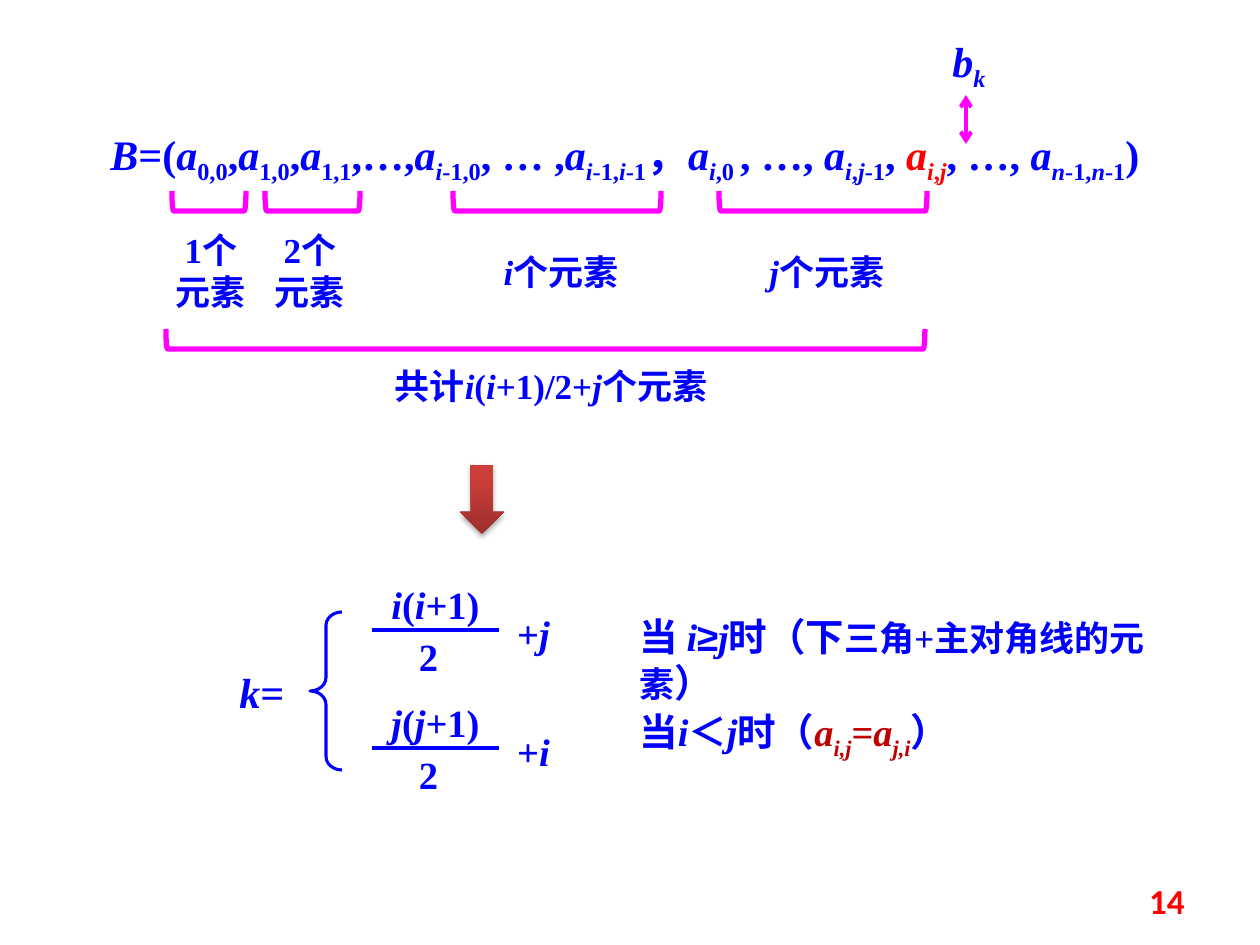
from lxml import etree
from pptx import Presentation
from pptx.dml.color import RGBColor
from pptx.enum.shapes import MSO_CONNECTOR, MSO_SHAPE
from pptx.enum.text import MSO_ANCHOR, MSO_AUTO_SIZE, PP_ALIGN
from pptx.oxml import parse_xml
from pptx.oxml.ns import nsdecls, qn
from pptx.util import Emu, Pt

LEFT, CENTER, RIGHT = PP_ALIGN.LEFT, PP_ALIGN.CENTER, PP_ALIGN.RIGHT
MIDDLE = MSO_ANCHOR.MIDDLE
FIT = MSO_AUTO_SIZE.SHAPE_TO_FIT_TEXT
STRAIGHT = MSO_CONNECTOR.STRAIGHT
BRACKET, BRACE, DOWN_ARROW = (
    MSO_SHAPE.LEFT_BRACKET, MSO_SHAPE.LEFT_BRACE, MSO_SHAPE.DOWN_ARROW)
BLUE = RGBColor(0x00, 0x00, 0xFF)
RED = RGBColor(0xFF, 0x00, 0x00)
DARK_RED = RGBColor(0xC0, 0x00, 0x00)
MAGENTA = RGBColor(0xFF, 0x00, 0xFF)
ARROW_DARK = RGBColor(0x9C, 0x2F, 0x2D)
ARROW_LIGHT = RGBColor(0xCB, 0x3E, 0x3A)

PX = 914400 // 126
SERIF = "Times New Roman"

# Run flags: i italic, s subscript, r red, d dark red, a Arial, m smaller text
SEQUENCE = [
    ("B", "i"), ("=(", ""), ("a", "i"), ("0,0", "s"), (",", ""),
    ("a", "i"), ("1,0", "s"), (",", ""), ("a", "i"), ("1,1", "s"),
    (",…,", ""), ("a", "i"), ("i", "is"), ("-1,0", "s"), (", … ,", ""),
    ("a", "i"), ("i", "is"), ("-1,", "s"), ("i", "is"), ("-1", "s"),
    ("，", ""), ("a", "i"), ("i", "is"), (",0 ", "s"), (", …, ", ""),
    ("a", "i"), ("i", "is"), (",", "s"), ("j", "is"), ("-1", "s"),
    (", ", ""), ("a", "ir"), ("i", "irs"), (",", "rs"), ("j", "irs"),
    (", …,", ""), (" a", "i"), ("n", "is"), ("-1,", "s"), ("n", "is"),
    ("-1", "s"), (")", ""),
]
LOWER_CASE = [("当 ", ""), ("i", "i"), ("≥", "a"), ("j", "i"), ("时（下", ""),
              ("三角+主对角线的元素", "m"), ("）", "")]
UPPER_CASE = [("当", ""), ("i", "i"), ("＜", ""), ("j", "i"), ("时（", ""),
              ("a", "id"), ("i,j", "ids"), ("=", "d"), ("a", "id"),
              ("j,i", "ids"), ("）", "")]
TOTAL = [("共计", ""), ("i", "i"), ("(", ""), ("i", "i"), ("+1)/2+", ""),
         ("j", "i"), ("个元素", "")]

# left, top, width, height, size, alignment, paragraphs
TEXTS = [
    (227, 660, 84, 63, 24, LEFT, [[("k", "i"), ("=", "")]]),
    (627, 607, 593, 59, 22, LEFT, [LOWER_CASE]),
    (627, 702, 374, 59, 22, LEFT, [UPPER_CASE]),
    (98, 122, 1142, 63, 24, LEFT, [SEQUENCE]),
    (157, 222, 108, 97, 20, CENTER, [[("1个", "")], [("元素", "")]]),
    (256, 222, 108, 97, 20, CENTER, [[("2个", "")], [("元素", "")]]),
    (472, 244, 178, 55, 20, CENTER, [[("i", "i"), ("个元素", "")]]),
    (738, 244, 178, 55, 20, CENTER, [[("j", "i"), ("个元素", "")]]),
    (354, 358, 394, 55, 20, CENTER, [TOTAL]),
    (925, 29, 88, 63, 24, CENTER, [[("b", "i"), ("k", "is")]]),
]
# left, right, top
BRACKETS = [(172, 246, 191), (265, 360, 191), (453, 661, 191),
            (719, 927, 191), (166, 925, 329)]
BRACKET_DEPTH = 20
# bar height, numerator variable, added variable
FRACTIONS = [(630, "i", "j"), (748, "j", "i")]

prs = Presentation()
prs.slide_width, prs.slide_height = Emu(1260 * PX), Emu(945 * PX)
s = prs.slides.add_slide(prs.slide_layouts[6])


def px(*values):
    return [Emu(round(v * PX)) for v in values]


def add_text(x, y, w, h, size, align, paragraphs, inset=True):
    tf = s.shapes.add_textbox(*px(x, y, w, h)).text_frame
    tf.word_wrap = True
    tf.auto_size = FIT
    if not inset:
        tf.margin_left = tf.margin_right = tf.margin_top = tf.margin_bottom = 0
    for n, runs in enumerate(paragraphs):
        p = tf.add_paragraph() if n else tf.paragraphs[0]
        p.alignment = align
        for text, flags in runs:
            r = p.add_run()
            r.text = text
            values = {
                "name": "Arial" if "a" in flags else SERIF,
                "size": Pt(20 if "m" in flags else size),
                "bold": True,
                "italic": "i" in flags,
            }
            for name, value in values.items():
                setattr(r.font, name, value)
            r.font.color.rgb = (RED if "r" in flags else
                                DARK_RED if "d" in flags else BLUE)
            if "s" in flags:
                r.font._element.set("baseline", "-25000")
    return tf


def add_outline(kind, x, y, w, h, color, width):
    sp = s.shapes.add_shape(kind, *px(x, y, w, h))
    sp.shadow.inherit = False
    sp.fill.background()
    sp.line.color.rgb = color
    sp.line.width = Pt(width)
    return sp


def add_line(x1, y1, x2, y2, color):
    line = s.shapes.add_connector(STRAIGHT, *px(x1, y1, x2, y2))
    line.line.color.rgb = color
    line.line.width = Pt(2.25)
    etree.SubElement(line._element.spPr, qn("a:effectLst"))
    return line


for item in TEXTS:
    add_text(*item)

for left, right, top in BRACKETS:
    length = right - left
    sp = add_outline(BRACKET, (left + right - BRACKET_DEPTH) / 2,
                     top + (BRACKET_DEPTH - length) / 2,
                     BRACKET_DEPTH, length, MAGENTA, 3)
    sp.rotation = 270

brace = add_outline(BRACE, 310, 612, 32, 158, BLUE, 1.75)
brace.adjustments[0] = 0.42

for bar, var, added in FRACTIONS:
    numerator = [(var, "i"), ("(", ""), (var, "i"), ("+1)", "")]
    for x, dy, w, runs in [(362, -49, 147, numerator), (394, 3, 69, [("2", "")]),
                           (499, -20, 69, [("+", ""), (added, "i")])]:
        add_text(x, bar + dy, w, 47, 22, CENTER, [runs], inset=False)
    add_line(372, bar, 499, bar, BLUE)

link = add_line(966, 95, 966, 144, MAGENTA)
ln = link.line._get_or_add_ln()
for end in ("a:headEnd", "a:tailEnd"):
    etree.SubElement(ln, qn(end), type="arrow")

arrow = s.shapes.add_shape(DOWN_ARROW, *px(460, 465, 44, 69))
arrow.line.fill.background()
arrow.fill.gradient()
arrow.fill.gradient_angle = 90
for stop, color, position in zip(arrow.fill.gradient_stops,
                                 (ARROW_DARK, ARROW_LIGHT), (0, 0.8)):
    stop.color.rgb = color
    stop.position = position
arrow._element.spPr.append(parse_xml(
    f'<a:effectLst {nsdecls("a")}><a:outerShdw blurRad="39370" dist="22860" '
    'dir="5400000" rotWithShape="0"><a:srgbClr val="000000">'
    '<a:alpha val="35000"/></a:srgbClr></a:outerShdw></a:effectLst>'))

tf = add_text(903, 876, 294, 50, 20, RIGHT, [[("14", "r")]])
tf.auto_size = MSO_AUTO_SIZE.NONE
tf.vertical_anchor = MIDDLE
tf.paragraphs[0].runs[0].font.name = "Calibri"

prs.save("out.pptx")
